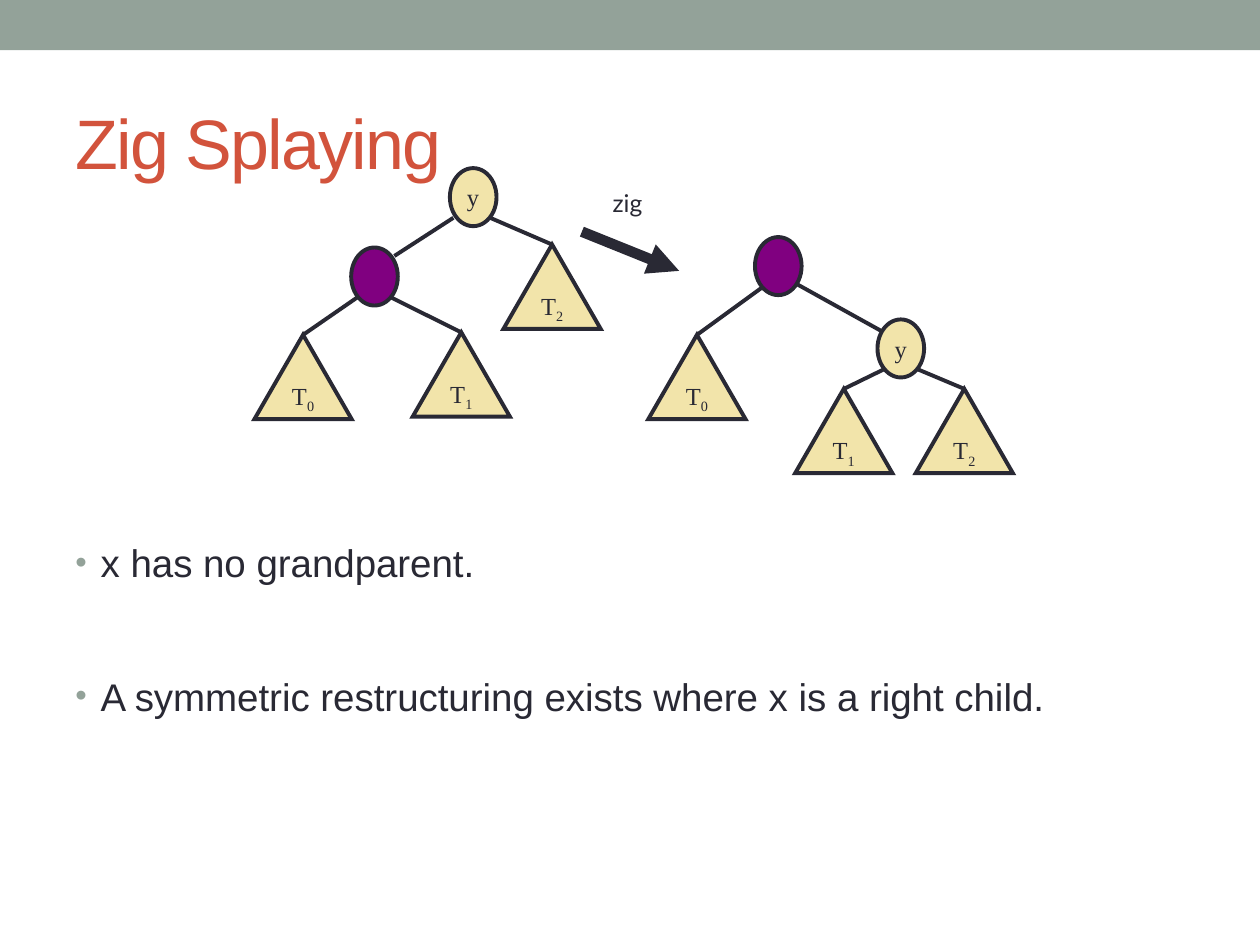
from lxml.etree import SubElement
from pptx import Presentation
from pptx.dml.color import RGBColor
from pptx.enum.shapes import MSO_CONNECTOR, MSO_SHAPE
from pptx.enum.text import MSO_ANCHOR, PP_ALIGN
from pptx.oxml.ns import qn
from pptx.util import Cm, Pt

COLORS = {k: RGBColor.from_string(v) for k, v in {
    "ink": "292934", "title": "D2533C", "sage": "93A299",
    "cream": "F2E4AA", "purple": "800080"}.items()}

prs = Presentation()
prs.slide_width, prs.slide_height = Cm(25.4), Cm(19.05)
s = prs.slides.add_slide(prs.slide_layouts[5])


def add_node(kind, x, y, w, h, fill, runs):
    """Outlined tree node; runs are (text, baseline)."""
    sp = s.shapes.add_shape(kind, Cm(x), Cm(y), Cm(w), Cm(h))
    sp.shadow.inherit = False
    sp.fill.solid()
    sp.fill.fore_color.rgb = COLORS[fill]
    sp.line.color.rgb = COLORS["ink"]
    sp.line.width = Pt(2.25)
    SubElement(sp.line._get_or_add_ln(), qn("a:miter"), lim="800000")
    tf = sp.text_frame
    tf.word_wrap = False
    tf.vertical_anchor = MSO_ANCHOR.MIDDLE
    p = tf.paragraphs[0]
    p.alignment = PP_ALIGN.CENTER
    for text, baseline in runs:
        r = p.add_run()
        r.text = text
        r.font.name, r.font.size = "Times New Roman", Pt(14)
        r.font.color.rgb = COLORS["ink"]
        if baseline:
            r.font._element.set("baseline", str(baseline))
    return sp


def add_line(x1, y1, x2, y2, width=2.25):
    cn = s.shapes.add_connector(MSO_CONNECTOR.STRAIGHT, Cm(x1), Cm(y1), Cm(x2), Cm(y2))
    cn.line.color.rgb = COLORS["ink"]
    cn.line.width = Pt(width)
    SubElement(cn._element.spPr, qn("a:effectLst"))
    return cn


# Top band
sp = s.shapes.add_shape(MSO_SHAPE.RECTANGLE, 0, 0, prs.slide_width, Cm(1.01))
sp.shadow.inherit = False
sp.fill.solid()
sp.fill.fore_color.rgb = COLORS["sage"]
sp.line.fill.background()

# Title
title = s.shapes.title
title.left, title.top, title.width, title.height = Cm(1.27), Cm(1.49), Cm(22.86), Cm(2.74)
tf = title.text_frame
tf.vertical_anchor = MSO_ANCHOR.MIDDLE
p = tf.paragraphs[0]
p.alignment = PP_ALIGN.LEFT
r = p.add_run()
r.text = "Zig Splaying"
r.font.name, r.font.size = "Arial", Pt(40)
r.font.color.rgb = COLORS["title"]
r.font._element.set("spc", "-100")

# Edges between the x and y nodes
for ends in [(9.14, 4.39, 7.95, 5.16), (17.78, 6.68, 16.05, 5.72)]:
    add_line(*ends)

# Subtrees: index, left, top, and where the edge from the parent starts
TREE_W, TREE_H = 1.96, 1.7
for index, x, y, from_x, from_y in [
        (0, 5.13, 6.75, 7.21, 5.99), (1, 8.32, 6.7, 7.87, 5.99),
        (2, 10.15, 4.93, 9.88, 4.39), (0, 13.07, 6.75, 15.37, 5.79),
        (1, 16.03, 7.84, 17.83, 7.44), (2, 18.46, 7.84, 18.49, 7.44)]:
    tree = add_node(MSO_SHAPE.ISOSCELES_TRIANGLE, x, y, TREE_W, TREE_H, "cream",
                    [("T", 0), (str(index), -25000)])
    edge = add_line(from_x, from_y, x + TREE_W / 2, y)
    edge.end_connect(tree, 0)

# The x nodes (purple, unlabelled) and the y nodes
for fill, runs, x, y in [("purple", [], 7.08, 4.99), ("cream", [("y", 0)], 9.07, 3.39),
                         ("purple", [], 15.22, 4.78), ("cream", [("y", 0)], 17.69, 6.44)]:
    add_node(MSO_SHAPE.OVAL, x, y, 0.94, 1.17, fill, runs)

# Zig arrow and its label
arrow = add_line(11.73, 4.67, 13.69, 5.46, 6)
SubElement(arrow.line._get_or_add_ln(), qn("a:tailEnd"), type="triangle")
tf = s.shapes.add_textbox(Cm(12.09), Cm(3.66), Cm(1.12), Cm(0.84)).text_frame
tf.word_wrap = False
tf.vertical_anchor = MSO_ANCHOR.MIDDLE
p = tf.paragraphs[0]
p.alignment = PP_ALIGN.CENTER
r = p.add_run()
r.text = "zig"
r.font.name, r.font.size = "Lato", Pt(14)
r.font.color.rgb = COLORS["ink"]

# Bullets
tf = s.shapes.add_textbox(Cm(1.27), Cm(10.92), Cm(22.86), Cm(6.99)).text_frame
tf.word_wrap = True
for i, text in enumerate(["x has no grandparent.",
                          "A symmetric restructuring exists where x is a right child."]):
    p = tf.add_paragraph() if i else tf.paragraphs[0]
    p.line_spacing = 0.8
    if i:
        p.space_before = Pt(55.3)
    pPr = p._p.get_or_add_pPr()
    pPr.set("marL", str(Cm(0.51)))
    pPr.set("indent", str(Cm(-0.51)))
    color = SubElement(pPr, qn("a:buClr"))
    SubElement(color, qn("a:srgbClr"), val=str(COLORS["sage"]))
    SubElement(pPr, qn("a:buSzPct"), val="85000")
    SubElement(pPr, qn("a:buFont"), typeface="Arial")
    SubElement(pPr, qn("a:buChar"), char="•")
    r = p.add_run()
    r.text = text
    r.font.name, r.font.size = "Arial", Pt(22)
    r.font.color.rgb = COLORS["ink"]

prs.save("out.pptx")
